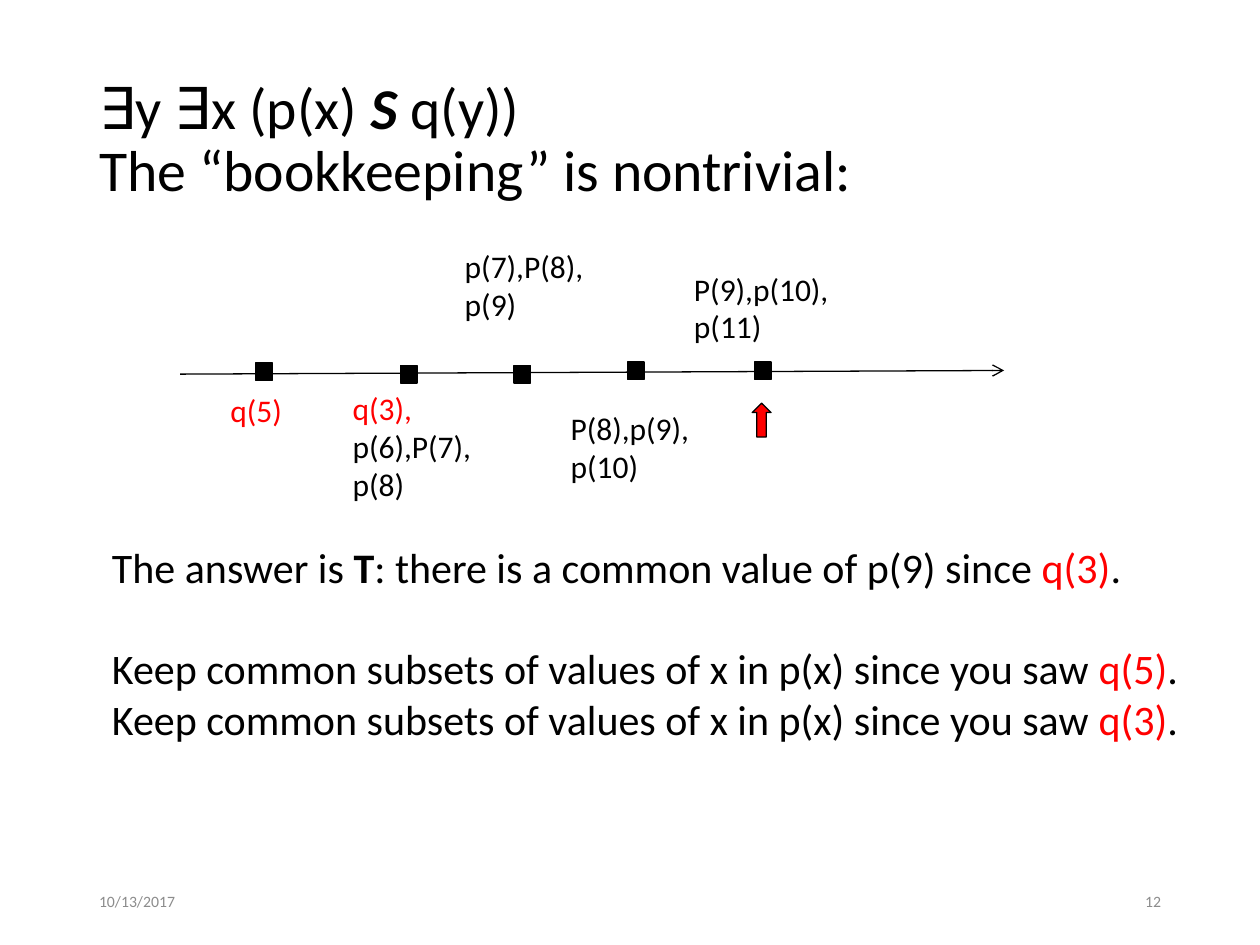
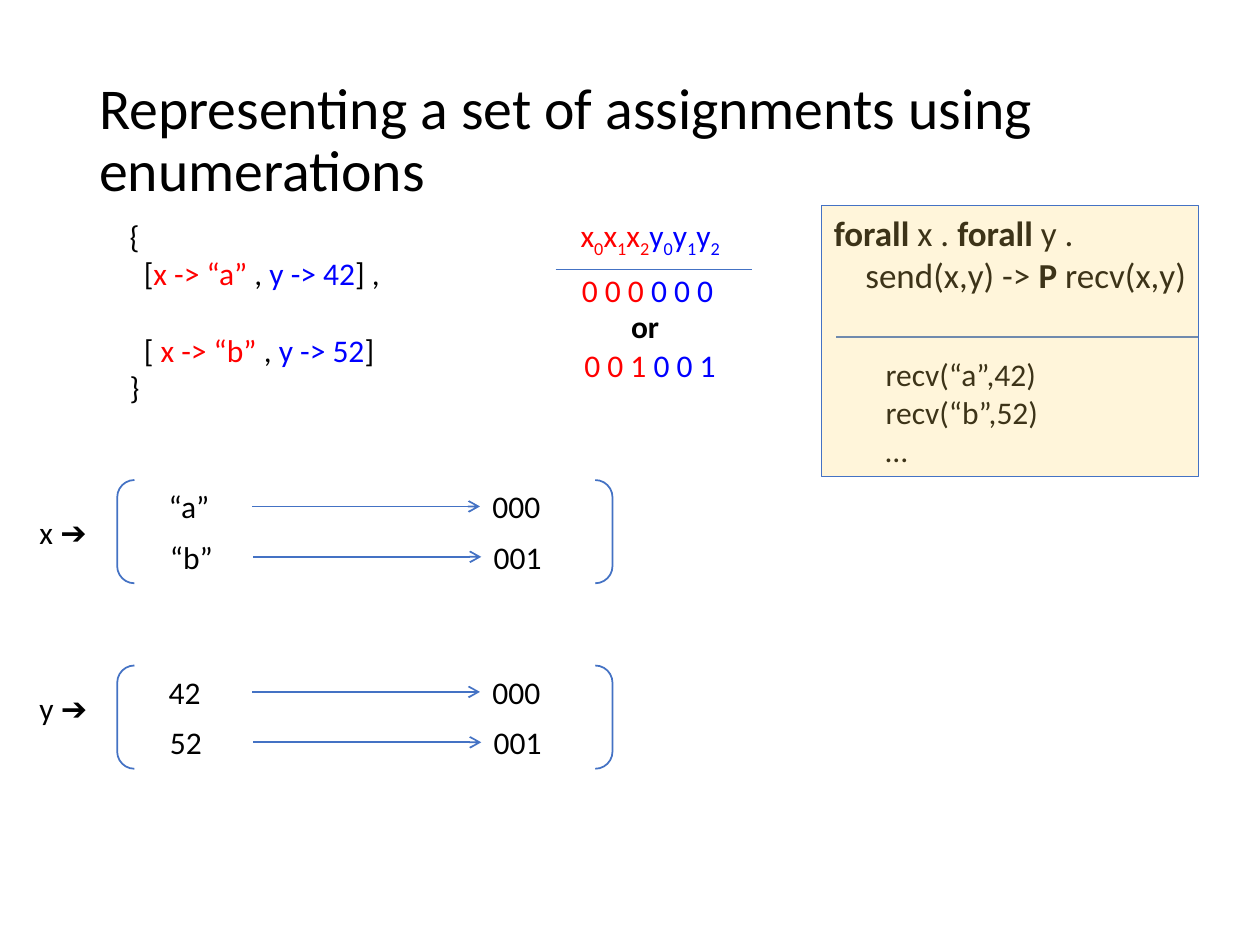
"""Build two slides on evaluating first-order past temporal properties."""
from dataclasses import dataclass

import pptx
import pptx.dml.color
import pptx.enum.shapes
import pptx.enum.text
import pptx.oxml
import pptx.oxml.ns
import pptx.util

Pt = pptx.util.Pt
RGBColor = pptx.dml.color.RGBColor
SHAPES = pptx.enum.shapes.MSO_SHAPE
ALIGN = pptx.enum.text.PP_ALIGN
ANCHOR = pptx.enum.text.MSO_ANCHOR
qn = pptx.oxml.ns.qn

BLACK = RGBColor(0, 0, 0)
RED = RGBColor(255, 0, 0)
BLUE = RGBColor(0, 0, 255)
GRAY = RGBColor(0x8C, 0x8C, 0x8C)
ACCENT = RGBColor(0x44, 0x72, 0xC4)
GOLD = RGBColor(0xFF, 0xD9, 0x66)
FONT = "Calibri"
BODY_SIZE = 18
ROW_STEP = 28.8


@dataclass
class Piece:
    """A stretch of text with its own style."""
    text: str
    color: RGBColor = BLACK
    bold: bool = False
    italic: bool = False
    subscript: bool = False
    font: str = FONT


@dataclass
class Line:
    """A paragraph made of pieces, with its spacing and indent in points."""
    pieces: list
    space_before: float = 0
    indent: float = 0


def red(text):
    """Return a red piece."""
    return Piece(text, RED)


def blue(text):
    """Return a blue piece."""
    return Piece(text, BLUE)


def bold(text):
    """Return a bold piece."""
    return Piece(text, bold=True)


def append_xml(parent, tag, **attributes):
    """Append a DrawingML element to its parent."""
    child = pptx.oxml.parse_xml(f"<a:{tag} {pptx.oxml.ns.nsdecls('a')}/>")
    for name, value in attributes.items():
        child.set(name, value)
    parent.append(child)


def write_lines(frame, lines, size, align=ALIGN.LEFT, spacing=1.0):
    """Write lines, each a string or a Line, into a text frame."""
    for index, line in enumerate(lines):
        if isinstance(line, str):
            line = Line([line])
        paragraph = frame.paragraphs[0] if index == 0 else frame.add_paragraph()
        paragraph.alignment = align
        paragraph.line_spacing = spacing
        paragraph.space_before = Pt(line.space_before)
        paragraph.font.size = Pt(size)
        paragraph.font.name = FONT
        if line.indent:
            properties = paragraph._p.get_or_add_pPr()
            properties.set("marL", str(Pt(line.indent)))
            properties.set("indent", "0")
        for piece in line.pieces:
            if isinstance(piece, str):
                piece = Piece(piece)
            run = paragraph.add_run()
            run.text = piece.text
            run.font.color.rgb = piece.color
            if piece.bold:
                run.font.bold = True
            if piece.italic:
                run.font.italic = True
            if piece.font != FONT:
                run.font.name = piece.font
            if piece.subscript:
                run._r.get_or_add_rPr().set("baseline", "-25000")


def add_titled_slide(presentation, title_lines):
    """Add a title-only slide with the shared title style."""
    slide = presentation.slides.add_slide(presentation.slide_layouts[5])
    title = slide.shapes.title
    title.left, title.top, title.width, title.height = Pt(49.5), Pt(28.75), Pt(621), Pt(104.4)
    title.text_frame.vertical_anchor = ANCHOR.MIDDLE
    title.text_frame.word_wrap = True
    write_lines(title.text_frame, title_lines, 33, spacing=0.9)
    return slide


def add_text(slide, left, top, width, height, lines, size=BODY_SIZE, wrap=False,
             align=ALIGN.LEFT, anchor=ANCHOR.TOP):
    """Add a text box."""
    box = slide.shapes.add_textbox(Pt(left), Pt(top), Pt(width), Pt(height))
    box.text_frame.word_wrap = wrap
    box.text_frame.vertical_anchor = anchor
    write_lines(box.text_frame, lines, size, align)
    return box


def add_shape(slide, kind, left, top, width, height, fill, line, weight):
    """Add a preset shape, unfilled when fill is None."""
    shape = slide.shapes.add_shape(kind, Pt(left), Pt(top), Pt(width), Pt(height))
    shape.shadow.inherit = False
    if fill is None:
        shape.fill.background()
    else:
        shape.fill.solid()
        shape.fill.fore_color.rgb = fill
    shape.line.color.rgb = line
    shape.line.width = Pt(weight)
    return shape


def add_line(slide, start, end, color, weight, arrow=False):
    """Add a straight line, with an arrowhead at its end if asked."""
    connector = slide.shapes.add_connector(
        pptx.enum.shapes.MSO_CONNECTOR.STRAIGHT, *map(Pt, start + end))
    connector.line.color.rgb = color
    connector.line.width = Pt(weight)
    properties = connector.element.spPr
    if arrow:
        append_xml(properties.find(qn("a:ln")), "tailEnd", type="arrow")
    append_xml(properties, "effectLst")
    return connector


def add_footer(slide, date, number):
    """Add the date and the slide number."""
    for left, text, align in ((49.5, date, ALIGN.LEFT), (508.5, number, ALIGN.RIGHT)):
        add_text(slide, left, 500.5, 162, 28.75, [Line([Piece(text, GRAY)])], 9,
                 wrap=True, align=align, anchor=ANCHOR.MIDDLE)


def add_enumeration(slide, variable, values, top, label_top):
    """Map the values of a variable to binary codes inside brackets."""
    for row, value in enumerate(values):
        shift = 0.72 * row
        row_top = top + ROW_STEP * row
        add_text(slide, 89.3 + shift, row_top, 50, ROW_STEP, [value])
        code = add_text(slide, 274.3 + shift, row_top, 46, ROW_STEP, [f"{row:03b}"])
        middle = row_top + ROW_STEP / 2
        arrow = add_line(slide, (144 + shift, middle), (274.3 + shift, middle),
                         ACCENT, 1, arrow=True)
        arrow.end_connect(code, 1)
    add_shape(slide, SHAPES.DOUBLE_BRACKET, 67, top - 0.7, 283, 59, None, ACCENT, 1)
    add_text(slide, 15.5, label_top, 50, ROW_STEP,
             [Line([variable + " ", Piece("➔", font="Arial")])])


def add_timeline(slide):
    """Draw the time axis with its events and the current moment."""
    add_line(slide, (103, 213.8), (573.8, 211.7), BLACK, 0.75, arrow=True)
    for left, top in ((146.2, 207.4), (229, 208.8), (293.8, 208.8),
                      (358.6, 206.9), (431.3, 206.9)):
        add_shape(slide, SHAPES.RECTANGLE, left, top, 9.4, 10, BLACK, BLACK, 0.75)
    add_shape(slide, SHAPES.UP_ARROW, 429.8, 230.4, 10.8, 19.4, RED, BLACK, 0.75)
    events = (
        (124.6, 219.6, 52.6, [Line([red("q(5)")])]),
        (194.4, 218.9, 88.6, [Line([red("q(3),")]), "p(6),P(7),p(8)"]),
        (258.5, 137.5, 88.6, ["p(7),P(8),p(9)"]),
        (319, 230.4, 88.6, ["P(8),p(9),p(10)"]),
        (389.5, 150.5, 95.8, ["P(9),p(10),p(11)"]),
    )
    for left, top, width, lines in events:
        add_text(slide, left, top, width, 51, lines, wrap=True)


def add_code_table(slide):
    """Show the bit variables and the codes of the two assignments."""
    header = [Piece(text, color, subscript=text.isdigit())
              for name, color in (("x", RED), ("y", BLUE))
              for bit in range(3) for text in (name, str(bit))]
    add_text(slide, 324.7, 120.2, 105, ROW_STEP, [Line(header)])
    add_line(slide, (317.5, 154), (429.8, 154), ACCENT, 1)
    for left, top, bits in ((325.4, 151.2, "0 0 0"), (326.9, 194.4, "0 0 1")):
        add_text(slide, left, top, 100, ROW_STEP, [Line([red(bits + " "), blue(bits)])])
    add_text(slide, 353.5, 172.1, 40, ROW_STEP, [Line([bold("or")])])


def add_formula_box(slide):
    """Show the formula and its trace under a translucent panel."""
    formula = [Line([bold("forall "), "x . ", bold("forall "), "y ."]),
               Line(["send(x,y) -> ", bold("P "), "recv(x,y)"], indent=18)]
    add_text(slide, 469.4, 117.4, 238.3, 55.4, formula, 20, wrap=True)
    add_line(slide, (478, 192.4), (684.7, 192.4), ACCENT, 1)
    add_text(slide, 499, 199.4, 115, 72.7, ["recv(“a”,42)", "recv(“b”,52)", "…"])
    panel = add_shape(slide, SHAPES.RECTANGLE, 469.4, 117.4, 215.3, 154.8, GOLD, ACCENT, 0.5)
    color = panel.element.spPr.find(qn("a:solidFill")).find(qn("a:srgbClr"))
    append_xml(color, "alpha", val="24000")


def build_bookkeeping_slide(presentation):
    """Build the slide on keeping common values along the timeline."""
    slide = add_titled_slide(presentation, [
        Line(["∃y ∃x (p(x) ", Piece("S", bold=True, italic=True), " q(y))"]),
        "The “bookkeeping” is nontrivial:"])
    add_timeline(slide)
    keep = "Keep common subsets of values of x in p(x) since you saw "
    add_text(slide, 56.9, 306, 646.6, 123.8, [
        Line(["The answer is ", bold("T"), ": there is a common value of p(9) since ",
              red("q(3)"), "."]),
        Line([keep, red("q(5)"), "."], space_before=29),
        Line([keep, red("q(3)"), "."])], 24, wrap=True)
    add_footer(slide, "10/13/2017", "12")


def build_enumeration_slide(presentation):
    """Build the slide on encoding assignments as enumerated values."""
    slide = add_titled_slide(
        presentation, ["Representing a set of assignments using enumerations"])
    add_text(slide, 67, 120.2, 175, 116.6, [
        "{",
        Line(["[", red("x -> “a” "), ", ", blue("y -> 42"), "] ,"], indent=8.1),
        Line(["[ ", red("x -> “b” "), ", ", blue("y -> 52"), "]"],
             space_before=22, indent=8.1),
        "}"])
    add_code_table(slide)
    add_enumeration(slide, "x", ("“a”", "“b”"), 275, 289.4)
    add_enumeration(slide, "y", ("42", "52"), 381, 390.2)
    add_formula_box(slide)


def main():
    """Create the presentation and save it."""
    presentation = pptx.Presentation()
    presentation.slide_width = Pt(720)
    presentation.slide_height = Pt(540)
    build_bookkeeping_slide(presentation)
    build_enumeration_slide(presentation)
    presentation.save("out.pptx")


if __name__ == "__main__":
    main()
